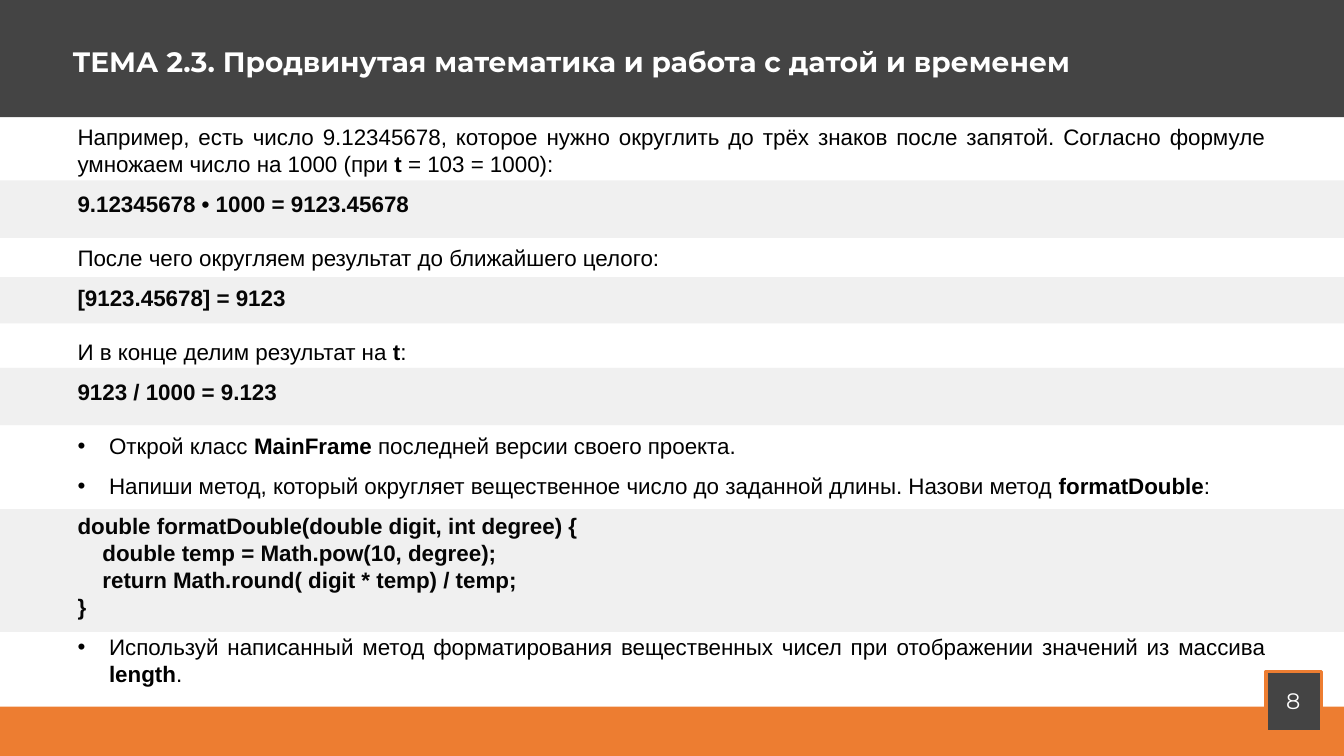
"""Builds the slide on rounding numbers in the advanced mathematics topic."""
import pptx
import pptx.util
import pptx.dml.color
import pptx.enum.shapes
import pptx.enum.text
import lxml.etree

Pt = pptx.util.Pt
RGBColor = pptx.dml.color.RGBColor
ALIGN = pptx.enum.text.PP_ALIGN
ORANGE = RGBColor(0xED, 0x7D, 0x31)
GREY = RGBColor(0x44, 0x44, 0x44)
WHITE = RGBColor(0xFF, 0xFF, 0xFF)
BLACK = RGBColor(0x00, 0x00, 0x00)
NAMESPACE = "{http://schemas.openxmlformats.org/drawingml/2006/main}"
LINE = 19.2
HALF = LINE / 2
BULLET_INDENT = 22.5
CODE_INDENT = 17.8


def add_bar(left, top, width, height, color):
    bar = slide.shapes.add_shape(
        pptx.enum.shapes.MSO_SHAPE.RECTANGLE, Pt(left), Pt(top), Pt(width), Pt(height))
    bar.shadow.inherit = False
    bar.fill.solid()
    bar.fill.fore_color.rgb = color
    bar.line.fill.background()
    return bar


def set_values(target, values):
    for name, value in values.items():
        setattr(target, name, value)


presentation = pptx.Presentation()
presentation.slide_width = Pt(960)
presentation.slide_height = Pt(540)
slide = presentation.slides.add_slide(presentation.slide_layouts[1])
title = slide.shapes.title
body = slide.placeholders[1]

footer = add_bar(0, 504.7, 960, 35.3, ORANGE)
number_box = add_bar(904.3, 479.5, 39.6, 43.2, GREY)
number_box.line.color.rgb = ORANGE
number_box.line.width = Pt(2.25)
number = slide.shapes.add_textbox(Pt(911.5), Pt(487.4), Pt(22.3), Pt(26.6))
header = add_bar(0, 0, 960, 83.8, GREY)
for shape in (footer, number_box, number, header):
    title.element.addprevious(shape.element)

set_values(title, {"left": Pt(44.6), "top": Pt(26.6), "width": Pt(787), "height": Pt(33)})
set_values(body, {"left": Pt(48.2), "top": Pt(84.2), "width": Pt(863.3), "height": Pt(424)})
for shape in (title, body, number):
    set_values(shape.text_frame, {
        "word_wrap": True,
        "auto_size": pptx.enum.text.MSO_AUTO_SIZE.NONE,
        "vertical_anchor": pptx.enum.text.MSO_ANCHOR.TOP,
    })

headings = [
    (title, "ТЕМА 2.3. Продвинутая математика и работа с датой и временем", 20, True, 1.07),
    (number, "8", 16, False, 1.01),
]
for shape, text, size, bold, spacing in headings:
    paragraph = shape.text_frame.paragraphs[0]
    set_values(paragraph, {"alignment": ALIGN.LEFT, "line_spacing": spacing})
    run = paragraph.add_run()
    run.text = text
    set_values(run.font, {"name": "Montserrat", "size": Pt(size), "bold": bold})
    run.font.color.rgb = WHITE

content = [
    ("justified", HALF, "Например, есть число 9.12345678, которое нужно округлить до трёх знаков "
     "после запятой. Согласно формуле умножаем число на 1000 (при |t| = 103 = 1000):"),
    ("plain", LINE, "|9.12345678 • 1000 = 9123.45678"),
    ("plain", HALF, "После чего округляем результат до ближайшего целого:"),
    ("plain", LINE, "|[9123.45678] = 9123"),
    ("plain", HALF, "И в конце делим результат на |t|:"),
    ("plain", LINE, "|9123 / 1000 = 9.123"),
    ("bullet", HALF, "Открой класс |MainFrame| последней версии своего проекта."),
    ("bullet", HALF, "Напиши метод, который округляет вещественное число до заданной длины. "
     "Назови метод |formatDouble|:"),
    ("plain", 0, "|double formatDouble(double digit, int degree) {"),
    ("code", 0, "|double temp = Math.pow(10, degree);"),
    ("code", 0, "|return Math.round( digit * temp) / temp;"),
    ("plain", HALF, "|}"),
    ("bullet", 0, "Используй написанный метод форматирования вещественных чисел при "
     "отображении значений из массива |length|."),
]
indents = {"bullet": (BULLET_INDENT, -BULLET_INDENT), "code": (CODE_INDENT, 0)}
for index, (kind, gap, text) in enumerate(content):
    frame = body.text_frame
    paragraph = frame.add_paragraph() if index else frame.paragraphs[0]
    set_values(paragraph, {
        "alignment": ALIGN.JUSTIFY if kind in ("justified", "bullet") else ALIGN.LEFT,
        "line_spacing": Pt(LINE),
        "space_before": Pt(0),
        "space_after": Pt(gap),
    })
    margin, indent = indents.get(kind, (0, 0))
    properties = paragraph._p.get_or_add_pPr()
    properties.set("marL", str(Pt(margin)))
    properties.set("indent", str(Pt(indent)))
    if kind == "bullet":
        lxml.etree.SubElement(properties, NAMESPACE + "buFont", typeface="Arial")
        lxml.etree.SubElement(properties, NAMESPACE + "buChar", char="•")
    else:
        lxml.etree.SubElement(properties, NAMESPACE + "buNone")
    for position, part in enumerate(text.split("|")):
        if part:
            run = paragraph.add_run()
            run.text = part
            set_values(run.font, {"name": "Arial", "size": Pt(16), "bold": position % 2 == 1})
            run.font.color.rgb = BLACK

for top, height in [(128.9, 41), (198, 33.1), (262.8, 41), (363.6, 87.8)]:
    band = add_bar(0, top, 960, height, GREY)
    color = band.fill._xPr.find(f"{NAMESPACE}solidFill/{NAMESPACE}srgbClr")
    lxml.etree.SubElement(color, NAMESPACE + "alpha", val="8000")

presentation.save("out.pptx")
